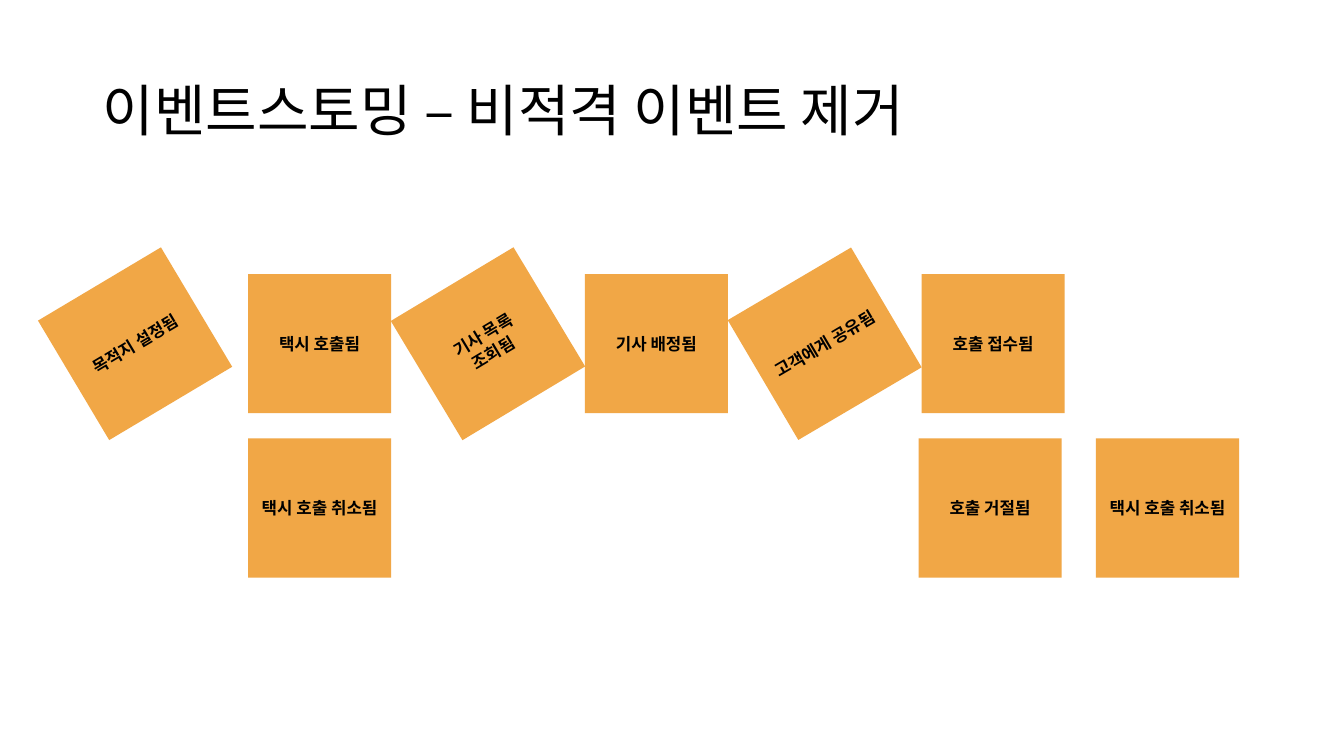
import pptx
import pptx.dml.color
import pptx.enum.shapes
import pptx.enum.text
import pptx.oxml.ns
import pptx.util
from lxml import etree

PX = 9144  # EMU per px, 100 px to the inch
ALIGN = pptx.enum.text.PP_ALIGN
ANCHOR = pptx.enum.text.MSO_ANCHOR


def colour(value):
    return pptx.dml.color.RGBColor.from_string(value)


def set_all(target, values):
    for name, value in values.items():
        setattr(target, name, value)


class EventBoard:
    font = "Noto Sans CJK KR"
    ink = "000000"
    note_fill = "F1A746"
    note_width, note_height = 142, 138

    def __init__(self, page):
        self.page = page

    def fill_text(self, shape, lines, frame_format, para_format, font_format):
        frame = shape.text_frame
        frame.text = "\n".join(lines)
        set_all(frame, {"word_wrap": True, "vertical_anchor": ANCHOR.MIDDLE, **frame_format})
        for para in frame.paragraphs:
            set_all(para, para_format)
            for span in para.runs:
                set_all(span.font, {"name": self.font, **font_format})
                span.font.color.rgb = colour(self.ink)
                east_asian = etree.SubElement(span.font._element, pptx.oxml.ns.qn("a:ea"))
                east_asian.set("typeface", self.font)

    def title(self, text, left, top, width, height):
        box = self.page.shapes.title
        place = {"left": left, "top": top, "width": width, "height": height}
        set_all(box, {name: px * PX for name, px in place.items()})
        self.fill_text(box, [text], {"auto_size": pptx.enum.text.MSO_AUTO_SIZE.NONE},
                       {"alignment": ALIGN.LEFT, "line_spacing": 0.9},
                       {"size": pptx.util.Pt(40)})

    def note(self, lines, left, top, rotation=0):
        box = self.page.shapes.add_shape(
            pptx.enum.shapes.MSO_SHAPE.RECTANGLE, left * PX, top * PX,
            self.note_width * PX, self.note_height * PX)
        box.rotation = rotation
        box.shadow.inherit = False
        box.fill.solid()
        box.fill.fore_color.rgb = colour(self.note_fill)
        box.line.fill.background()
        self.fill_text(box, lines, {}, {"alignment": ALIGN.CENTER},
                       {"size": pptx.util.Pt(12), "bold": True})


def main():
    deck = pptx.Presentation()
    set_all(deck, {"slide_width": 1333 * PX, "slide_height": 750 * PX})
    board = EventBoard(deck.slides.add_slide(deck.slide_layouts[5]))
    board.title("이벤트스토밍 – 비적격 이벤트 제거", 92, 40, 1150, 145)

    upper, lower = 272, 435
    first, pitch = 246, 167
    board.note(["목적지 설정됨"], 63, upper, 329.2)
    flow = [
        (["택시 호출됨"], 0),
        (["기사 목록", "조회됨"], 329),
        (["기사 배정됨"], 0),
        (["고객에게 공유됨"], 329.5),
        (["호출 접수됨"], 0),
    ]
    for column, (lines, rotation) in enumerate(flow):
        board.note(lines, first + column * pitch, upper, rotation)

    for text, left in [("택시 호출 취소됨", 1087), ("호출 거절됨", 911),
                       ("택시 호출 취소됨", first)]:
        board.note([text], left, lower)

    deck.save("out.pptx")


if __name__ == "__main__":
    main()
